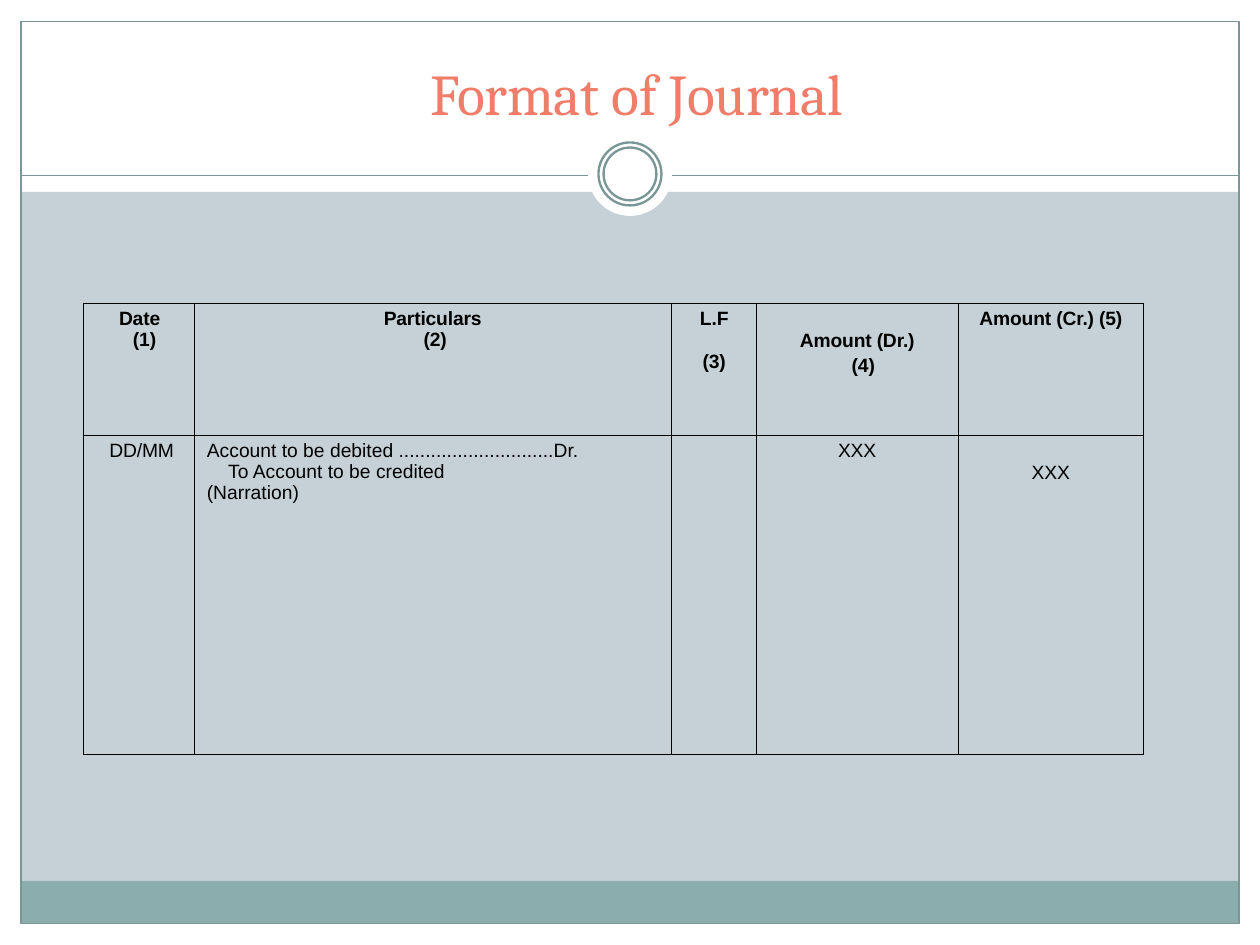
from dataclasses import dataclass

from lxml import etree
from pptx import Presentation
from pptx import util as u
from pptx.dml.color import RGBColor
from pptx.enum import shapes, text
from pptx.oxml import ns

Pt = u.Pt
ALIGN = text.PP_ALIGN


@dataclass(frozen=True)
class Theme:
    paper: str = "FFFFFF"
    panel: str = "C5D1D7"
    footer: str = "8CADAE"
    frame: str = "7A9798"
    title: str = "F07C6A"
    ink: str = "000000"
    title_font: str = "Cambria"
    body_font: str = "Arial"
    title_size: float = 33
    body_size: float = 11
    hairline: float = 0.75
    ring_line: float = 1.33


def rgb(value):
    return RGBColor.from_string(value)


def write(paragraph, content, *, font, size, color, bold=False,
          align=ALIGN.LEFT, indent=0, before=0, tracking=-0.1):
    """Put formatted text into a paragraph."""
    paragraph.alignment = align
    paragraph.space_before = Pt(before)
    properties = paragraph._p.get_or_add_pPr()
    properties.set("marL", str(Pt(indent)))
    properties.set("indent", "0")
    run = paragraph.add_run()
    run.text = content
    run.font.name = font
    run.font.size = Pt(size)
    run.font.bold = bold
    run.font.color.rgb = rgb(color)
    run._r.get_or_add_rPr().set("spc", str(round(tracking * 100)))


def set_margins(target, left=0, top=0, right=0, bottom=0):
    target.margin_left, target.margin_top = Pt(left), Pt(top)
    target.margin_right, target.margin_bottom = Pt(right), Pt(bottom)


class SlideBuilder:
    def __init__(self, slide, theme):
        self.slide = slide
        self.theme = theme

    def shape(self, kind, left, top, width, height, fill=None, line=None, weight=0.75):
        shape = self.slide.shapes.add_shape(kind, Pt(left), Pt(top), Pt(width), Pt(height))
        shape.shadow.inherit = False
        if fill:
            shape.fill.solid()
            shape.fill.fore_color.rgb = rgb(fill)
        else:
            shape.fill.background()
        if line:
            shape.line.color.rgb = rgb(line)
            shape.line.width = Pt(weight)
        else:
            shape.line.fill.background()

    def circle(self, center_x, center_y, diameter, **style):
        radius = diameter / 2
        self.shape(shapes.MSO_SHAPE.OVAL, center_x - radius, center_y - radius,
                   diameter, diameter, **style)

    def rule(self, left, right, y):
        line = self.slide.shapes.add_connector(
            shapes.MSO_CONNECTOR.STRAIGHT, Pt(left), Pt(y), Pt(right), Pt(y))
        line.line.color.rgb = rgb(self.theme.frame)
        line.line.width = Pt(self.theme.hairline)
        etree.SubElement(line._element.spPr, ns.qn("a:effectLst"))

    def title(self, content, left, top, width, height):
        title = self.slide.shapes.title
        title.left, title.top = Pt(left), Pt(top)
        title.width, title.height = Pt(width), Pt(height)
        frame = title.text_frame
        frame.word_wrap = True
        frame.auto_size = text.MSO_AUTO_SIZE.NONE
        frame.vertical_anchor = text.MSO_ANCHOR.TOP
        set_margins(frame, top=0.8)
        write(frame.paragraphs[0], content, font=self.theme.title_font,
              size=self.theme.title_size, color=self.theme.title, indent=0.8)

    def border(self, cell):
        properties = cell._tc.get_or_add_tcPr()
        for position, side in enumerate(("lnL", "lnR", "lnT", "lnB")):
            line = etree.Element(ns.qn(f"a:{side}"), w=str(Pt(self.theme.hairline)))
            fill = etree.SubElement(line, ns.qn("a:solidFill"))
            etree.SubElement(fill, ns.qn("a:srgbClr"), val=self.theme.ink)
            properties.insert(position, line)

    def cell(self, cell, lines, top, bold):
        cell.fill.solid()
        cell.fill.fore_color.rgb = rgb(self.theme.panel)
        cell.vertical_anchor = text.MSO_ANCHOR.TOP
        set_margins(cell, top=top)
        self.border(cell)
        frame = cell.text_frame
        for index, (content, style) in enumerate(lines):
            paragraph = frame.add_paragraph() if index else frame.paragraphs[0]
            write(paragraph, content, font=self.theme.body_font,
                  size=self.theme.body_size, color=self.theme.ink, bold=bold, **style)

    def table(self, left, top, widths, heights, rows):
        table = self.slide.shapes.add_table(
            len(heights), len(widths), Pt(left), Pt(top),
            Pt(sum(widths)), Pt(sum(heights))).table
        table.first_row = table.horz_banding = False
        for column, width in zip(table.columns, widths):
            column.width = Pt(width)
        for row_index, (row, height) in enumerate(zip(table.rows, heights)):
            row.height = Pt(height)
            for cell, (cell_top, lines) in zip(row.cells, rows[row_index]):
                self.cell(cell, lines, cell_top, bold=row_index == 0)


def main():
    theme = Theme()
    presentation = Presentation()
    presentation.slide_width, presentation.slide_height = Pt(720), Pt(540)
    slide = presentation.slides.add_slide(presentation.slide_layouts[5])
    builder = SlideBuilder(slide, theme)
    rectangle = shapes.MSO_SHAPE.RECTANGLE

    # Panel, footer band and frame
    builder.shape(rectangle, 12, 109.6, 696, 393.6, fill=theme.panel)
    builder.shape(rectangle, 12, 503.2, 696, 24.2, fill=theme.footer)
    builder.shape(rectangle, 12, 12.2, 696, 515.4, line=theme.frame, weight=theme.hairline)
    builder.rule(12, 708, 100.4)

    # Ring ornament
    builder.circle(360, 99.4, 48, fill=theme.paper)
    for diameter in (36, 30.2):
        builder.circle(360, 99.4, diameter, line=theme.frame, weight=theme.ring_line)

    # Title
    builder.title("Format of Journal", 245, 32.4, 267, 42)

    # Journal table: each cell is (top margin, lines)
    center = {"align": ALIGN.CENTER}
    top, lowered = 2.5, 15
    header = [
        (top, [("Date", {"indent": 20.5}), ("(1)", {"indent": 28.5})]),
        (top, [("Particulars", center), ("(2)", {**center, "indent": 3})]),
        (top, [("L.F", {"indent": 16.5}), ("(3)", {"indent": 18, "before": 12.5})]),
        (lowered, [("Amount (Dr.)", center),
                   ("(4)", {**center, "indent": 7, "before": 2.3})]),
        (top, [("Amount (Cr.) (5)", center)]),
    ]
    entry = [
        (top, [("DD/MM", {"indent": 15})]),
        (top, [("Account to be debited .............................Dr.",
                {"indent": 7.2, "tracking": 0}),
               ("To Account to be credited", {"indent": 19.4, "tracking": 0}),
               ("(Narration)", {"indent": 7.2, "tracking": 0})]),
        (top, []),
        (top, [("XXX", center)]),
        (lowered + 0.5, [("XXX", center)]),
    ]
    builder.table(47.5, 173.4, (63.5, 272.5, 48.7, 115.3, 106),
                  (75.4, 182.6), (header, entry))

    presentation.save("out.pptx")


if __name__ == "__main__":
    main()
